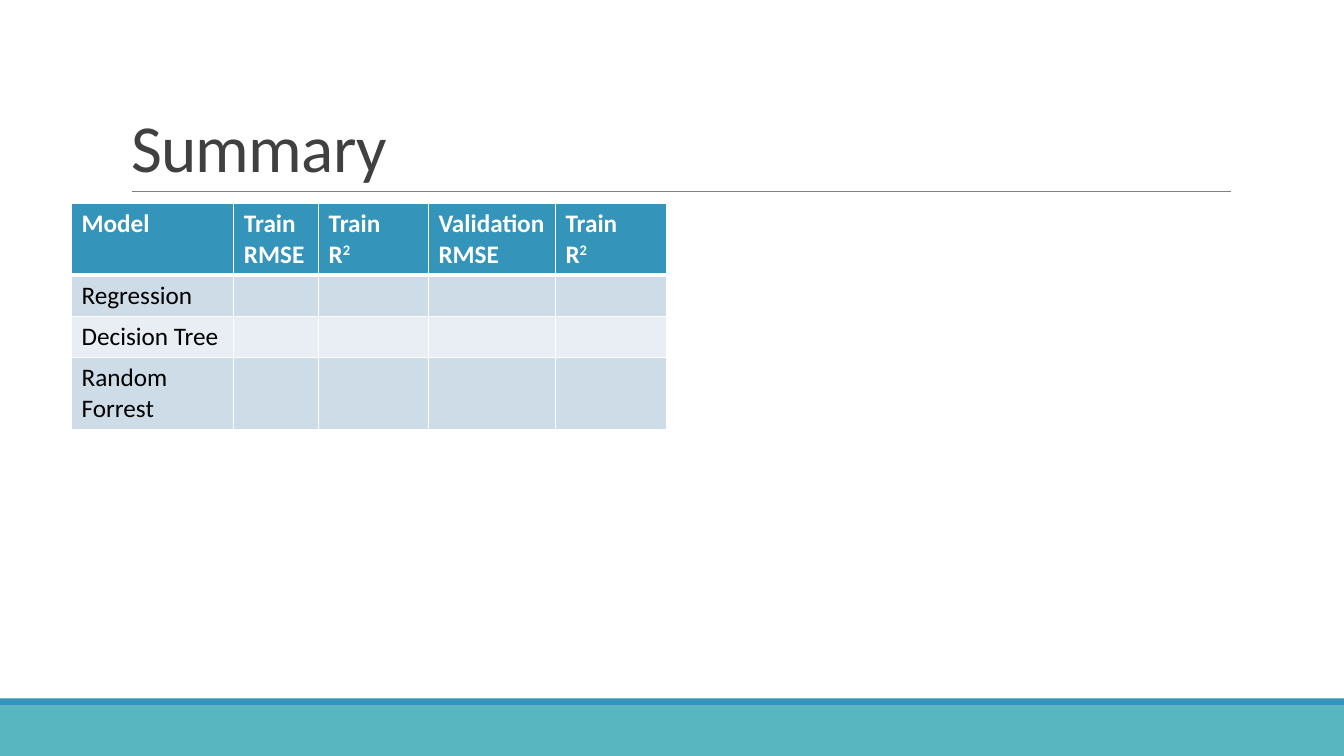
from lxml import etree
from pptx import Presentation
from pptx.dml.color import RGBColor
from pptx.enum import shapes, text
from pptx.oxml import ns
from pptx.util import Inches, Pt

FONT = "Calibri"
BLUE, TEAL, WHITE = "3494BA", "58B6C0", "FFFFFF"
BANDS = ["CEDCE7", "E8EEF3"]

COL_WIDTHS = [1.61, 0.84, 1.09, 1.26, 1.1]
ROW_HEIGHTS = [0.7, 0.41, 0.41, 0.7]
# Each header is a list of lines; each line is a text and its superscript
R_SQUARED = [("Train", ""), ("R", "2")]
HEADERS = [
    [("Model", "")],
    [("Train RMSE", "")],
    R_SQUARED,
    [("Validation", ""), ("RMSE", "")],
    R_SQUARED,
]
MODELS = ["Regression", "Decision Tree", "Random Forrest"]


def rgb(value):
    return RGBColor.from_string(value)


def add_run(p, content, size=18, color="000000", bold=False, **attrs):
    """Add a run; attrs are extra run properties such as baseline or spc."""
    r = p.add_run()
    r.text = content
    r.font.name, r.font.size, r.font.bold = FONT, Pt(size), bold
    r.font.color.rgb = rgb(color)
    for name, value in attrs.items():
        r._r.get_or_add_rPr().set(name, str(value))


def add_bar(s, top, height, color):
    bar = s.shapes.add_shape(shapes.MSO_SHAPE.RECTANGLE, 0, Inches(top),
                             Inches(13.33), Inches(height))
    bar.shadow.inherit = False
    bar.fill.solid()
    bar.fill.fore_color.rgb = rgb(color)
    bar.line.fill.background()


def add_rule(s, left, right, y, color, width):
    rule = s.shapes.add_connector(shapes.MSO_CONNECTOR.STRAIGHT, Inches(left),
                                  Inches(y), Inches(right), Inches(y))
    rule.line.color.rgb = rgb(color)
    rule.line.width = Pt(width)
    etree.SubElement(rule._element.spPr, ns.qn("a:effectLst"))


def set_title(s, content):
    sp = s.shapes.title
    sp.left, sp.top = Inches(1.2), Inches(0.31)
    sp.width, sp.height = Inches(11), Inches(1.59)
    tf = sp.text_frame
    tf.auto_size = text.MSO_AUTO_SIZE.NONE
    tf.vertical_anchor = text.MSO_ANCHOR.BOTTOM
    p = tf.paragraphs[0]
    p.alignment = text.PP_ALIGN.LEFT
    p.line_spacing = 0.85
    add_run(p, content, size=48, color="404040", spc=-50)


def style_cell(cell, fill, **widths):
    """Set white borders (widths in points by side), then the fill."""
    tc_pr = cell._tc.get_or_add_tcPr()
    for side in "LRTB":
        ln = etree.SubElement(tc_pr, ns.qn(f"a:ln{side}"),
                              w=str(Pt(widths.get(side, 1))))
        line_fill = etree.SubElement(ln, ns.qn("a:solidFill"))
        etree.SubElement(line_fill, ns.qn("a:srgbClr"), val=WHITE)
    cell.fill.solid()
    cell.fill.fore_color.rgb = rgb(fill)


def add_model_table(s):
    table = s.shapes.add_table(
        len(ROW_HEIGHTS), len(COL_WIDTHS), Inches(0.71), Inches(2.02),
        Inches(sum(COL_WIDTHS)), Inches(sum(ROW_HEIGHTS))).table
    for col, width in zip(table.columns, COL_WIDTHS):
        col.width = Inches(width)
    for row, height in zip(table.rows, ROW_HEIGHTS):
        row.height = Inches(height)

    # Header row
    for cell, lines in zip(table.rows[0].cells, HEADERS):
        style_cell(cell, BLUE, B=3)
        tf = cell.text_frame
        for i, (content, power) in enumerate(lines):
            p = tf.add_paragraph() if i else tf.paragraphs[0]
            add_run(p, content, color=WHITE, bold=True)
            if power:
                add_run(p, power, color=WHITE, bold=True, baseline=30000)

    # Model rows, with the result cells left empty
    for i, model in enumerate(MODELS):
        cells = list(table.rows[i + 1].cells)
        for cell in cells:
            style_cell(cell, BANDS[i % 2], T=1 if i else 3)
        add_run(cells[0].text_frame.paragraphs[0], model)


def main():
    prs = Presentation()
    prs.slide_width, prs.slide_height = Inches(13.33), Inches(7.5)
    s = prs.slides.add_slide(prs.slide_layouts[5])

    # Footer bars and title rule
    add_bar(s, 7, 0.5, TEAL)
    add_bar(s, 6.93, 0.07, BLUE)
    add_rule(s, 1.31, 12.21, 1.9, "808080", 0.5)

    # Content
    set_title(s, "Summary")
    add_model_table(s)
    prs.save("out.pptx")


if __name__ == "__main__":
    main()
